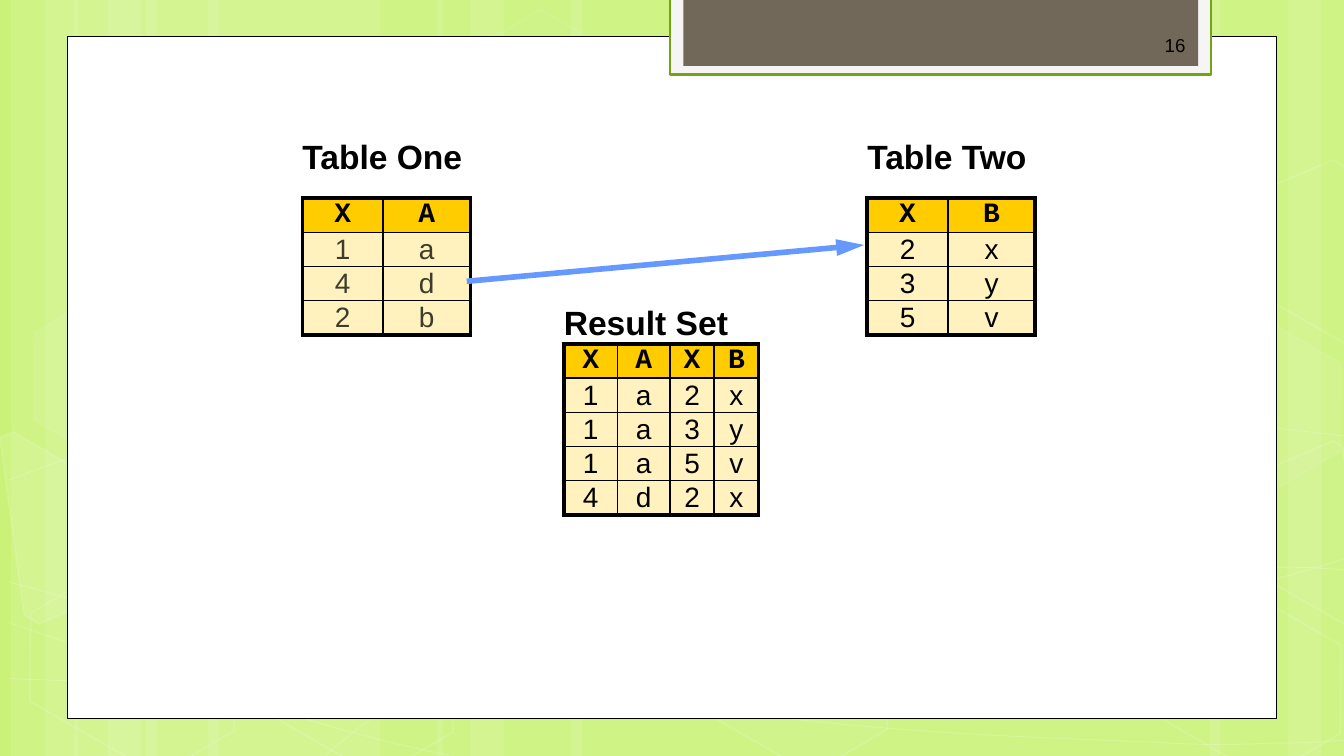
from dataclasses import dataclass
import math

from lxml import etree
from pptx import Presentation, util as u
from pptx.dml.color import RGBColor
from pptx.enum import shapes as kinds, text as txt
from pptx.oxml.ns import qn

WIDE = u.Inches(10)
HIGH = WIDE * 9 // 16
ROWS = 56.25  # the grid has 100 columns; its rows have the same pitch


@dataclass(frozen=True)
class Theme:
    """Colours, fonts and type sizes."""
    back: str = "CAF278"
    white: str = "FFFFFF"
    black: str = "000000"
    pale: str = "F5F5F5"
    green: str = "74A510"
    brown: str = "71685A"
    gold: str = "FFCC00"
    cream: str = "FFF2BE"
    gray: str = "3E3D2D"
    blue: str = "6699FF"
    sans: str = "Arial"
    mono: str = "Courier New"
    title: int = 18
    body: int = 15
    small: int = 10


T = Theme()

LANES = [(10.83, 17.5), (0.83, 5), (3.33, 8.33), (15.5, 17.5), (5.5, 5), (8, 8.33),
         (73.33, 17.5), (95.83, 5), (90, 8.33), (42.5, 30.83), (32.5, 5), (35, 8.33)]

# Each curve is a start point, then three points for each Bezier piece.
CURVES = [
    [(0.7, 50.5), (6.1, 50.7), (11.5, 50.9), (19, 50.8), (26.5, 50.7), (35.8, 50.6),
     (45.8, 49.9), (55.8, 49.1), (70, 47.7), (79.2, 46.3), (88.3, 44.8), (97.7, 42.6),
     (100.7, 41.3)],
    [(0.7, 35.7), (3.6, 34.6), (6.5, 33.5), (12.1, 32.3), (17.8, 31.2), (25.9, 29.6),
     (34.7, 29), (43.6, 28.5), (54.4, 28.4), (65.4, 29), (76.4, 29.6), (94.7, 31.9),
     (100.7, 32.5)],
    [(0.6, 46.3), (12.7, 50.4), (24.7, 54.5), (33.4, 56.2)],
    [(0.7, 43.3), (3.8, 44.2), (7, 45), (12.8, 46.2), (18.6, 47.4), (27.3, 49.2),
     (35.7, 50.5), (44, 51.7), (54.5, 53.1), (62.8, 53.9), (71.1, 54.7), (80, 55),
     (85.3, 55.2), (90.5, 55.5), (91.9, 55.4), (94.5, 55.3), (97.1, 55.3), (98.9, 55.2),
     (100.7, 55)],
    [(24.2, 56.2), (26, 54.7), (27.8, 53.2), (30.2, 51.8), (32.6, 50.4), (36, 48.9),
     (38.8, 47.9), (41.6, 46.9), (43.3, 46.4), (47, 45.7), (50.6, 44.9), (57.3, 43.8),
     (60.8, 43.3), (64.4, 42.8), (64.9, 42.9), (68, 42.7), (71.1, 42.5), (76, 42.3),
     (79.4, 42.2), (82.9, 42.1), (88.6, 42.2), (88.6, 42.2), (91, 42.2), (93, 42.2),
     (95.3, 42.2), (97.1, 42.2), (98.8, 42.3), (99.7, 42.4), (100.6, 42.4), (100.3, 42.4),
     (100.6, 42.5)],
]

# Left, top, fill opacity, line opacity
HEXES = [(33.4, 2.7, 4, 8), (49.7, 44.2, 6, 12), (1.1, 44.3, 0, 12), (1.4, 23.4, 7, 8),
         (17.4, 44.4, 0, 12), (83.4, 44.5, 0, 12), (83.4, 23.5, 7, 8)]

# Centre, fill opacity, corners
SHARDS = [
    ((3.6, 40.2), 10, [(0, 32.5), (1, 32.1), (8.6, 36.5), (9.5, 43.6), (2.9, 46.4), (1.8, 45.7)]),
    ((98.5, 39), 4, [(92.6, 35.6), (99.2, 32.8), (99.9, 33.2), (101.8, 46.8), (101.2, 47.1),
                     (93.5, 42.7)]),
    ((98.5, 18.1), 0, [(92.6, 14.7), (99.2, 11.9), (100, 12.4), (101.8, 26), (101.2, 26.2),
                       (93.5, 21.8)]),
]


def grid(*nums):
    """Turn grid counts into lengths."""
    return [round(WIDE * n / 100) for n in nums]


def put(item, **vals):
    """Set attributes from format values."""
    for key, val in vals.items():
        setattr(item, key, val)


def paint(fill, tint):
    """Give a solid fill, or none."""
    if tint:
        fill.solid()
        fill.fore_color.rgb = RGBColor.from_string(tint)
    else:
        fill.background()


def fade(shape, where, share):
    """Set the opacity of a fill or line in percent."""
    for node in shape.element.spPr.xpath(where + "/a:solidFill/a:srgbClr"):
        etree.SubElement(node, qn("a:alpha"), val=str(share * 1000))


def dress(shape, fill=None, line=None, width=1, clear=100, dim=100):
    """Apply fill, line and their opacity to a shape."""
    shape.shadow.inherit = False
    paint(shape.fill, fill)
    paint(shape.line.fill, line)
    if line:
        shape.line.width = u.Pt(width)
    for where, share in ((".", clear), ("./a:ln", dim)):
        if share < 100:
            fade(shape, where, share)


def block(slide, box, kind=kinds.MSO_SHAPE.RECTANGLE, **look):
    """Add a preset shape."""
    shape = slide.shapes.add_shape(kind, *grid(*box))
    dress(shape, **look)
    return shape


def trace(slide, spots, close=False, **look):
    """Add an outline through grid points."""
    first, *rest = [grid(*spot) for spot in spots]
    pen = slide.shapes.build_freeform(*first, scale=1.0)
    pen.add_line_segments(rest, close=close)
    shape = pen.convert_to_shape()
    dress(shape, **look)
    return shape


def bend(shape):
    """Turn every three straight steps into one Bezier piece."""
    steps = shape.element.spPr.xpath(".//a:lnTo")
    for i in range(0, len(steps), 3):
        piece = etree.Element(qn("a:cubicBezTo"))
        steps[i].addprevious(piece)
        for step in steps[i:i + 3]:
            piece.append(step[0])
            step.getparent().remove(step)


def turn(spots, mid, angle):
    """Rotate points about a centre."""
    cos, sin = math.cos(math.radians(angle)), math.sin(math.radians(angle))
    moves = [(x - mid[0], y - mid[1]) for x, y in spots]
    return [(mid[0] + x * cos - y * sin, mid[1] + x * sin + y * cos) for x, y in moves]


def write(frame, words, align, tint=T.black, **font):
    """Write one line of text."""
    para = frame.paragraphs[0]
    para.alignment = align
    run = para.add_run()
    run.text = words
    put(run.font, **font)
    run.font.color.rgb = RGBColor.from_string(tint)


def edge(cell, sides):
    """Draw cell borders, where zero width means none."""
    props = cell._tc.get_or_add_tcPr()
    for side, width in sides.items():
        line = etree.SubElement(props, qn("a:ln" + side), w=str(u.Pt(width)))
        if width:
            fill = etree.SubElement(line, qn("a:solidFill"))
            etree.SubElement(fill, qn("a:srgbClr"), val=T.black)
        else:
            etree.SubElement(line, qn("a:noFill"))


def sheet(slide, spot, cols, rows, title, data, tint=T.black):
    """Add a table with a title row, a header row and a heavy frame."""
    frame = slide.shapes.add_table(len(rows), len(cols), *grid(*spot, sum(cols), sum(rows)))
    table = frame.table
    put(table, first_row=False, horz_banding=False)
    for col, size in zip(table.columns, grid(*cols)):
        col.width = size
    for row, size in zip(table.rows, grid(*rows)):
        row.height = size
    last, end = len(rows) - 1, len(cols) - 1
    for r, line in enumerate([[title] + [""] * end] + [text.split() for text in data]):
        for c, words in enumerate(line):
            cell = table.cell(r, c)
            pad = u.Inches(0.07 if r else 0)
            put(cell, margin_left=pad, margin_right=pad, margin_top=0, margin_bottom=0,
                vertical_anchor=txt.MSO_ANCHOR.MIDDLE)
            if r == 0:
                edge(cell, {"L": 0, "R": 0, "T": 0, "B": 2.25})
            else:
                edge(cell, {"L": 1 if c else 2.25, "R": 2.25 if c == end else 1,
                            "T": 2.25 if r == 1 else 1, "B": 2.25 if r == last else 1})
            paint(cell.fill, [None, T.gold, T.cream][min(r, 2)])
            if words:
                write(cell.text_frame, words,
                      txt.PP_ALIGN.CENTER if r else txt.PP_ALIGN.LEFT,
                      size=u.Pt(T.body if r else T.title), bold=r < 2,
                      name=T.mono if r == 1 else T.sans, tint=tint if r > 1 else T.black)
    table.cell(0, 0).merge(table.cell(0, end))


def arrow(slide, start, stop):
    """Add a straight arrow with a long head."""
    line = slide.shapes.add_connector(kinds.MSO_CONNECTOR.STRAIGHT, *grid(*start, *stop))
    paint(line.line.fill, T.blue)
    line.line.width = u.Pt(3)
    props = line.element.spPr
    etree.SubElement(props.find(qn("a:ln")), qn("a:tailEnd"), type="triangle", len="lg")
    etree.SubElement(props, qn("a:effectLst"))


def label(slide, box, words):
    """Add the page number."""
    frame = slide.shapes.add_textbox(*grid(*box)).text_frame
    side, top = u.Inches(0.07), u.Inches(0.04)
    put(frame, word_wrap=True, vertical_anchor=txt.MSO_ANCHOR.MIDDLE, margin_left=side,
        margin_right=side, margin_top=top, margin_bottom=top)
    write(frame, words, txt.PP_ALIGN.RIGHT, size=u.Pt(T.small), name=T.sans)


def scene(slide):
    """Draw the backdrop of lanes, curves and hexagons."""
    paint(slide.background.fill, T.back)
    for left, wide in LANES:
        block(slide, (left, 0, wide, ROWS), fill=T.white, clear=10)
    for knots in CURVES:
        bend(trace(slide, knots, line=T.white, width=0.5, dim=20))
    for left, top, clear, dim in HEXES:
        shape = block(slide, (left, top, 17.5, 11.4), kinds.MSO_SHAPE.HEXAGON,
                      fill=T.white if clear else None, clear=clear, line=T.white, dim=dim)
        shape.adjustments[0] = 0.285
        shape.rotation = 30
    for mid, clear, spots in SHARDS:
        shape = trace(slide, turn(spots, mid, -30), True, fill=T.white if clear else None,
                      clear=clear, line=T.white, dim=12)
        shape.rotation = 30


def main():
    """Build the slide and save it."""
    deck = Presentation()
    put(deck, slide_width=WIDE, slide_height=HIGH)
    slide = deck.slides.add_slide(deck.slide_layouts[6])
    scene(slide)
    block(slide, (5, 2.7, 90, 50.75), fill=T.white, line=T.black, width=0.5)
    block(slide, (49.85, -0.2, 40.25, 5.75), fill=T.pale, line=T.green, width=1.25)
    block(slide, (50.85, -0.2, 38.3, 5.1), fill=T.brown)
    pair = [6, 6.5], [6] + [2.54] * 4
    sheet(slide, (22.5, 8.75), *pair, "Table One", ["X A", "1 a", "4 d", "2 b"], T.gray)
    sheet(slide, (64.53, 8.75), *pair, "Table Two", ["X B", "2 x", "3 y", "5 v"])
    label(slide, (65.6, 1.85, 23.3, 3), "16")
    sheet(slide, (41.95, 22.6), [4, 3.9, 3.3, 3.3], [3] + [2.54] * 5, "Result Set",
          ["X A X B", "1 a 2 x", "1 a 3 y", "1 a 5 v", "4 d 2 x"])
    arrow(slide, (34.73, 20.93), (64.3, 18.23))
    deck.save("out.pptx")


main()
